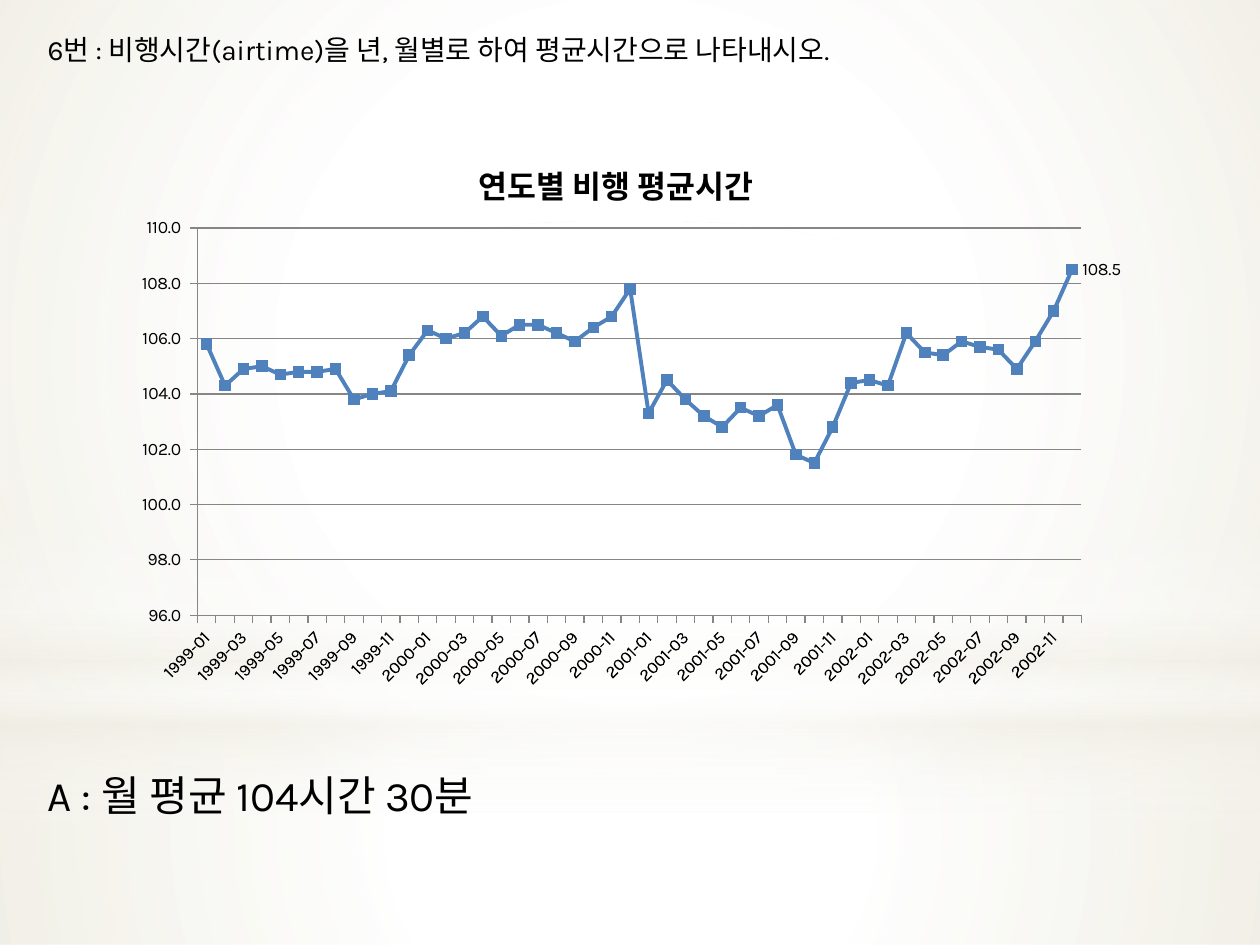
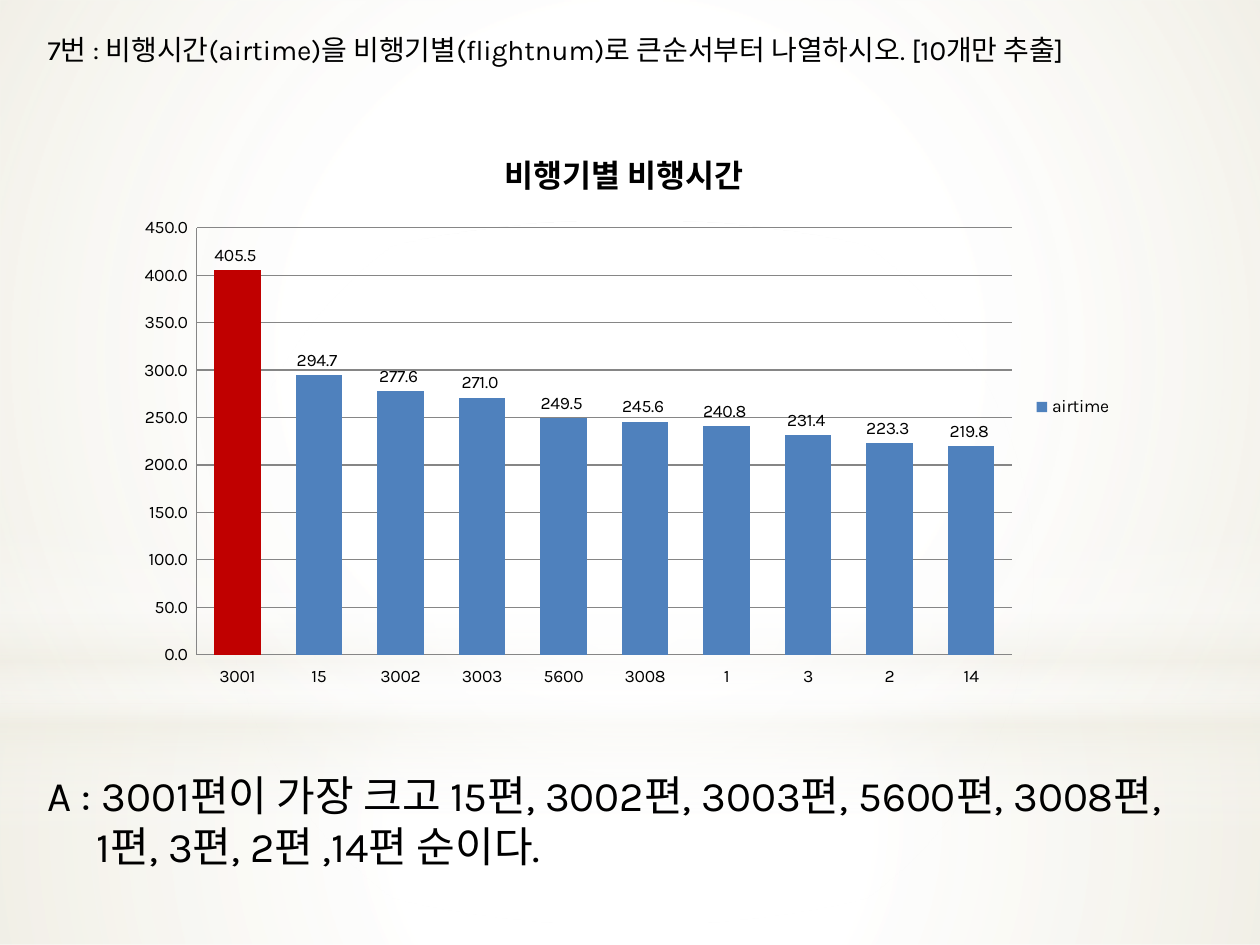
from lxml.etree import SubElement
from pptx import Presentation
from pptx.chart.data import CategoryChartData
from pptx.dml.color import RGBColor
from pptx.enum.chart import XL_CHART_TYPE as ChartType
from pptx.enum.chart import XL_LABEL_POSITION as LabelPosition
from pptx.enum.chart import XL_LEGEND_POSITION as LegendPosition
from pptx.enum.chart import XL_MARKER_STYLE as MarkerStyle
from pptx.enum.chart import XL_TICK_LABEL_POSITION as TickLabelPosition
from pptx.enum.chart import XL_TICK_MARK as TickMark
from pptx.enum.shapes import MSO_SHAPE as Preset
from pptx.enum.text import MSO_AUTO_SIZE as AutoSize
from pptx.oxml.ns import qn
from pptx.util import Pt

BLACK = RGBColor(0x00, 0x00, 0x00)
WHITE = RGBColor(0xFF, 0xFF, 0xFF)
CREAM = RGBColor(0xEE, 0xEC, 0xE1)
GRAY = RGBColor(0x86, 0x86, 0x86)
BLUE = RGBColor(0x4F, 0x81, 0xBD)
RED = RGBColor(0xC0, 0x00, 0x00)

FONT = "Karla"
WIDTH, HEIGHT = 720, 540
HORIZON = 402
MARGIN = 20.2
TITLE_TOP, ANSWER_TOP = 15.1, 436.3
CHART_LEFT, CHART_TOP, CHART_WIDTH = 70.6, 70.6, 572.4
NUMBER_FORMAT = "0.0_ "

BACKDROP = [
    (Preset.RECTANGLE, (0, HORIZON, WIDTH, HEIGHT - HORIZON), True,
     [(0, WHITE, 91), (37, WHITE, 76), (100, CREAM, 79)]),
    (Preset.RECTANGLE, (0, 0, WIDTH, HORIZON), True,
     [(0, WHITE, 89), (48, WHITE, 62), (100, CREAM, 79)]),
    (Preset.RECTANGLE, (0, 296.6, WIDTH, 180), False,
     [(0, WHITE, 0), (29, WHITE, 30), (45, CREAM, 40),
      (55, WHITE, 26), (65, CREAM, 60), (100, WHITE, 0)]),
    (Preset.OVAL, (0, 126, WIDTH, HORIZON), True,
     [(0, WHITE, 100), (56, WHITE, 0)]),
]

MONTHS = [f"{year}-{month:02}" for year in range(1999, 2003) for month in range(1, 13)]
MONTHLY_AIRTIME = [
    105.8, 104.3, 104.9, 105.0, 104.7, 104.8, 104.8, 104.9, 103.8, 104.0, 104.1, 105.4,
    106.3, 106.0, 106.2, 106.8, 106.1, 106.5, 106.5, 106.2, 105.9, 106.4, 106.8, 107.8,
    103.3, 104.5, 103.8, 103.2, 102.8, 103.5, 103.2, 103.6, 101.8, 101.5, 102.8, 104.4,
    104.5, 104.3, 106.2, 105.5, 105.4, 105.9, 105.7, 105.6, 104.9, 105.9, 107.0, 108.5,
]
FLIGHTS = ["3001", "15", "3002", "3003", "5600", "3008", "1", "3", "2", "14"]
FLIGHT_AIRTIME = [405.5, 294.7, 277.6, 271.0, 249.5, 245.6, 240.8, 231.4, 223.3, 219.8]


def points(box):
    return [Pt(length) for length in box]


def fill_gradient(shape, stops, radial):
    properties = shape._element.spPr
    gradient = SubElement(properties, qn("a:gradFill"), rotWithShape="1")
    properties.insert(2, gradient)
    stop_list = SubElement(gradient, qn("a:gsLst"))
    for position, color, opacity in stops:
        stop = SubElement(stop_list, qn("a:gs"), pos=str(position * 1000))
        tint = SubElement(stop, qn("a:srgbClr"), val=str(color))
        SubElement(tint, qn("a:alpha"), val=str(opacity * 1000))
    if radial:
        circle = SubElement(gradient, qn("a:path"), path="circle")
        SubElement(circle, qn("a:fillToRect"), l="50000", t="50000", r="50000", b="50000")
    else:
        SubElement(gradient, qn("a:lin"), ang="5400000", scaled="0")


def add_backdrop(page):
    for preset, box, radial, stops in BACKDROP:
        shape = page.shapes.add_shape(preset, *points(box))
        shape.shadow.inherit = False
        shape.line.fill.background()
        fill_gradient(shape, stops, radial)


def add_text(page, box, lines, size, hanging=0):
    frame = page.shapes.add_textbox(*points(box)).text_frame
    frame.word_wrap = True
    frame.auto_size = AutoSize.SHAPE_TO_FIT_TEXT
    for index, line in enumerate(lines):
        para = frame.add_paragraph() if index else frame.paragraphs[0]
        para.text = line
        para.font.size = Pt(size)
        para.font.name = FONT
        para.font.color.rgb = BLACK
        if index:
            para._p.get_or_add_pPr().set("marL", str(Pt(hanging)))


def set_layout(element, index, **settings):
    for old in element.findall(qn("c:layout")):
        element.remove(old)
    layout = SubElement(element, qn("c:layout"))
    element.insert(index, layout)
    manual = SubElement(layout, qn("c:manualLayout"))
    for name, value in settings.items():
        SubElement(manual, qn(f"c:{name}"), val=str(value))


def style_axis(axis, tick):
    axis.major_tick_mark = tick
    axis.minor_tick_mark = TickMark.NONE
    axis.format.line.color.rgb = GRAY
    axis.format.line.width = Pt(0.75)


def add_airtime_chart(page, kind, height, title, name, categories, values, scale, tick, plot_box):
    data = CategoryChartData(number_format=NUMBER_FORMAT)
    data.categories = categories
    data.add_series(name, values)
    box = (CHART_LEFT, CHART_TOP, CHART_WIDTH, height)
    chart = page.shapes.add_chart(kind, *points(box), data).chart
    chart.font.size = Pt(10)
    chart.font.name = FONT
    chart.font.color.rgb = BLACK
    chart.has_legend = False
    chart.has_title = True
    para = chart.chart_title.text_frame.paragraphs[0]
    para.text = title
    para.font.size = Pt(18)
    para.font.bold = True
    para.font.name = FONT
    para.font.color.rgb = BLACK
    chart.plots[0].vary_by_categories = False

    axis = chart.value_axis
    axis.minimum_scale, axis.maximum_scale, axis.major_unit = scale
    axis.has_major_gridlines = True
    axis.major_gridlines.format.line.color.rgb = GRAY
    axis.major_gridlines.format.line.width = Pt(0.75)
    axis.tick_labels.number_format = NUMBER_FORMAT
    axis.tick_labels.number_format_is_linked = False
    style_axis(axis, tick)
    style_axis(chart.category_axis, tick)
    chart.category_axis.tick_label_position = TickLabelPosition.LOW

    left, top, width, depth = plot_box
    plot_area = chart._chartSpace.find(".//" + qn("c:plotArea"))
    set_layout(plot_area, 0, layoutTarget="inner", xMode="edge", yMode="edge",
               x=left, y=top, w=width, h=depth)
    return chart


def add_monthly_chart(page):
    chart = add_airtime_chart(
        page, ChartType.LINE_MARKERS, 329.8, "연도별 비행 평균시간", "Series 1",
        MONTHS, MONTHLY_AIRTIME, (96, 110, 2), TickMark.OUTSIDE, (0.074, 0.181, 0.885, 0.671))
    set_layout(chart.chart_title._element, 1, xMode="edge", yMode="edge", x=0.35, y=0.05)
    labels = chart.category_axis.tick_labels
    labels.font.size = Pt(10)
    chart.category_axis._element.find(qn("c:txPr")).find(qn("a:bodyPr")).set("rot", "-2700000")

    series = chart.plots[0].series[0]
    series.smooth = False
    series.format.line.color.rgb = BLUE
    series.format.line.width = Pt(2.25)
    series.marker.style = MarkerStyle.SQUARE
    series.marker.size = 6
    series.marker.format.fill.solid()
    series.marker.format.fill.fore_color.rgb = BLUE
    series.marker.format.line.color.rgb = BLUE
    series.data_labels.show_value = False
    series.points[len(MONTHS) - 1].data_label.position = LabelPosition.RIGHT


def add_flight_chart(page):
    chart = add_airtime_chart(
        page, ChartType.COLUMN_CLUSTERED, 324, "비행기별 비행시간", "airtime",
        FLIGHTS, FLIGHT_AIRTIME, (0, 450, 50), TickMark.NONE, (0.073, 0.184, 0.814, 0.753))
    chart.has_legend = True
    chart.legend.position = LegendPosition.RIGHT
    chart.legend.include_in_layout = False
    chart.plots[0].gap_width = 75

    series = chart.plots[0].series[0]
    series.format.fill.solid()
    series.format.fill.fore_color.rgb = BLUE
    longest = series.points[0].format.fill
    longest.solid()
    longest.fore_color.rgb = RED
    labels = series.data_labels
    labels.show_value = True
    labels.position = LabelPosition.OUTSIDE_END


def add_question_page(deck, add_chart, question, question_width, answer, answer_width, answer_height):
    page = deck.slides.add_slide(deck.slide_layouts[6])
    add_backdrop(page)
    add_chart(page)
    add_text(page, (MARGIN, TITLE_TOP, question_width, 26.6), [question], 16)
    add_text(page, (MARGIN, ANSWER_TOP, answer_width, answer_height), answer, 24, hanging=28)


def main():
    deck = Presentation()
    deck.slide_width, deck.slide_height = Pt(WIDTH), Pt(HEIGHT)
    add_question_page(
        deck, add_monthly_chart,
        "6번 : 비행시간(airtime)을 년, 월별로 하여 평균시간으로 나타내시오.", 511.2,
        ["A : 월 평균 104시간 30분"], 282.2, 36)
    add_question_page(
        deck, add_flight_chart,
        "7번 : 비행시간(airtime)을 비행기별(flightnum)로 큰순서부터 나열하시오. [10개만 추출]", 648,
        ["A : 3001편이 가장 크고 15편, 3002편, 3003편, 5600편, 3008편,",
         "1편, 3편, 2편 ,14편 순이다."], 694.1, 65.5)
    deck.save("out.pptx")


if __name__ == "__main__":
    main()
